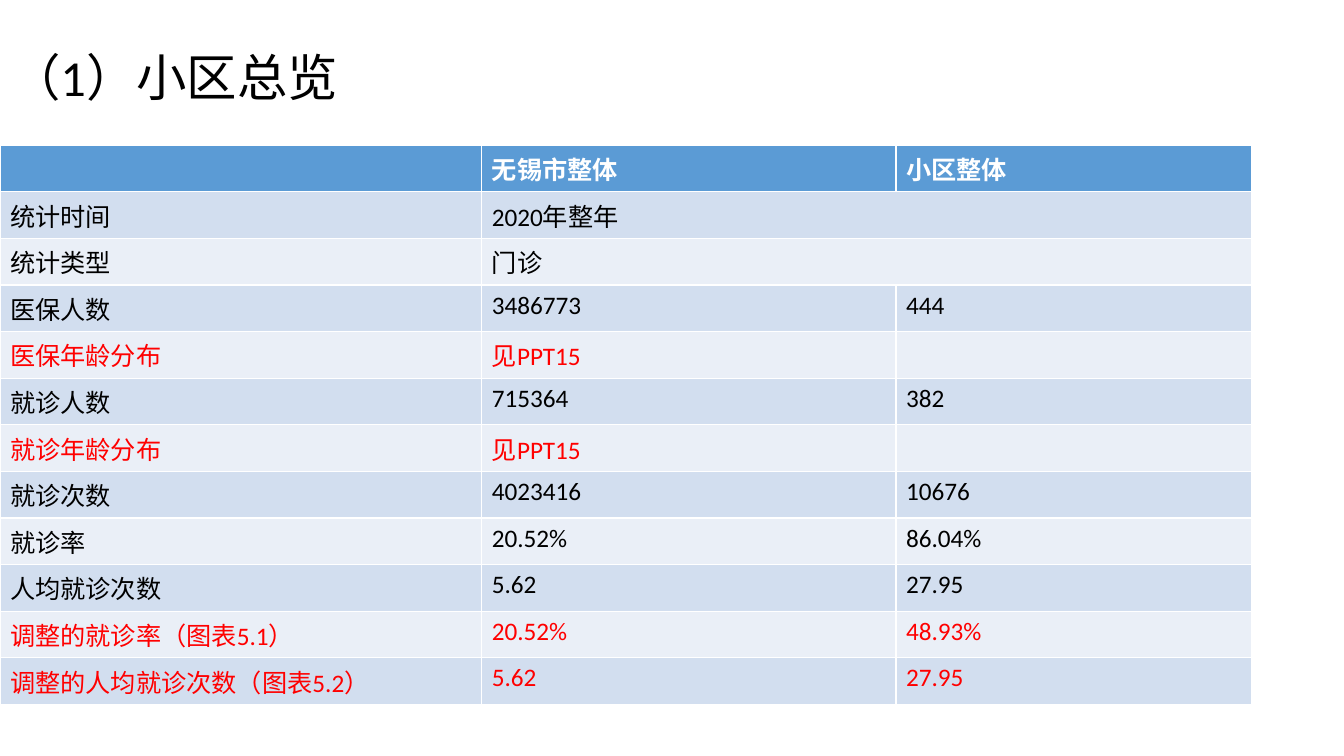
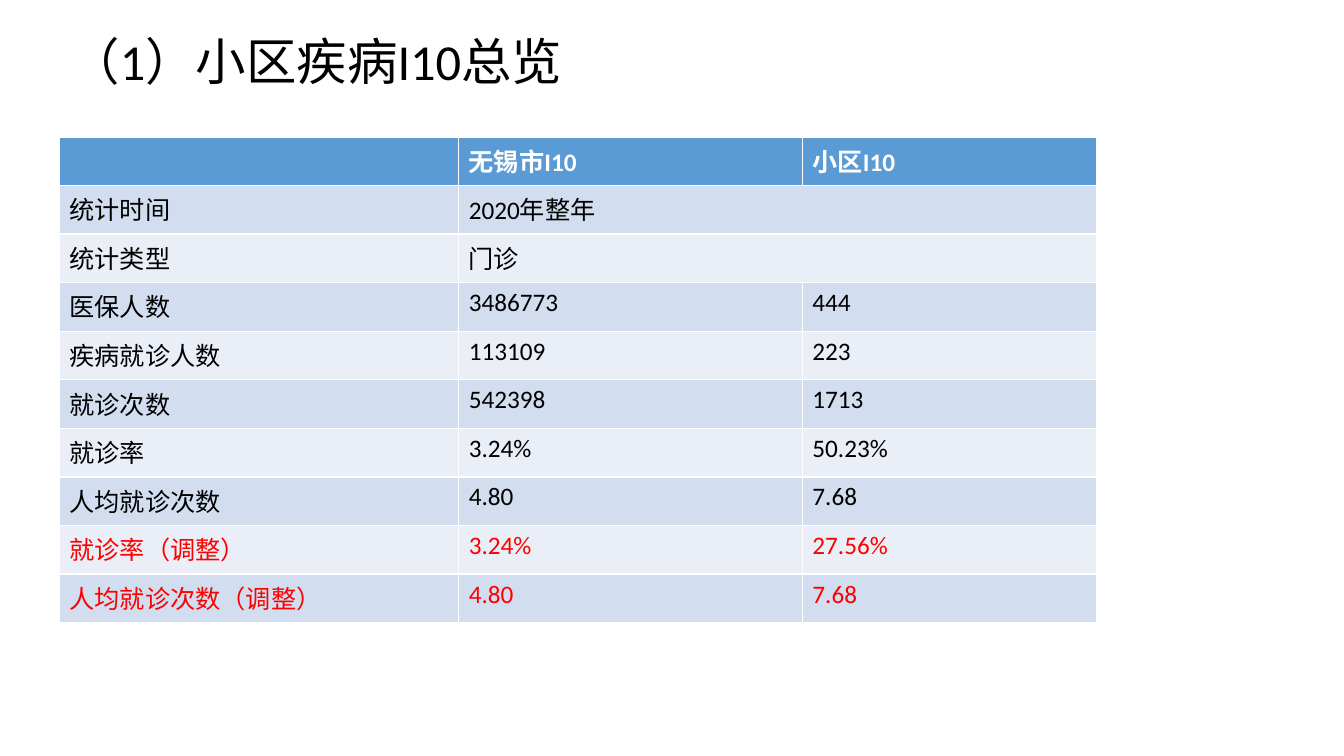
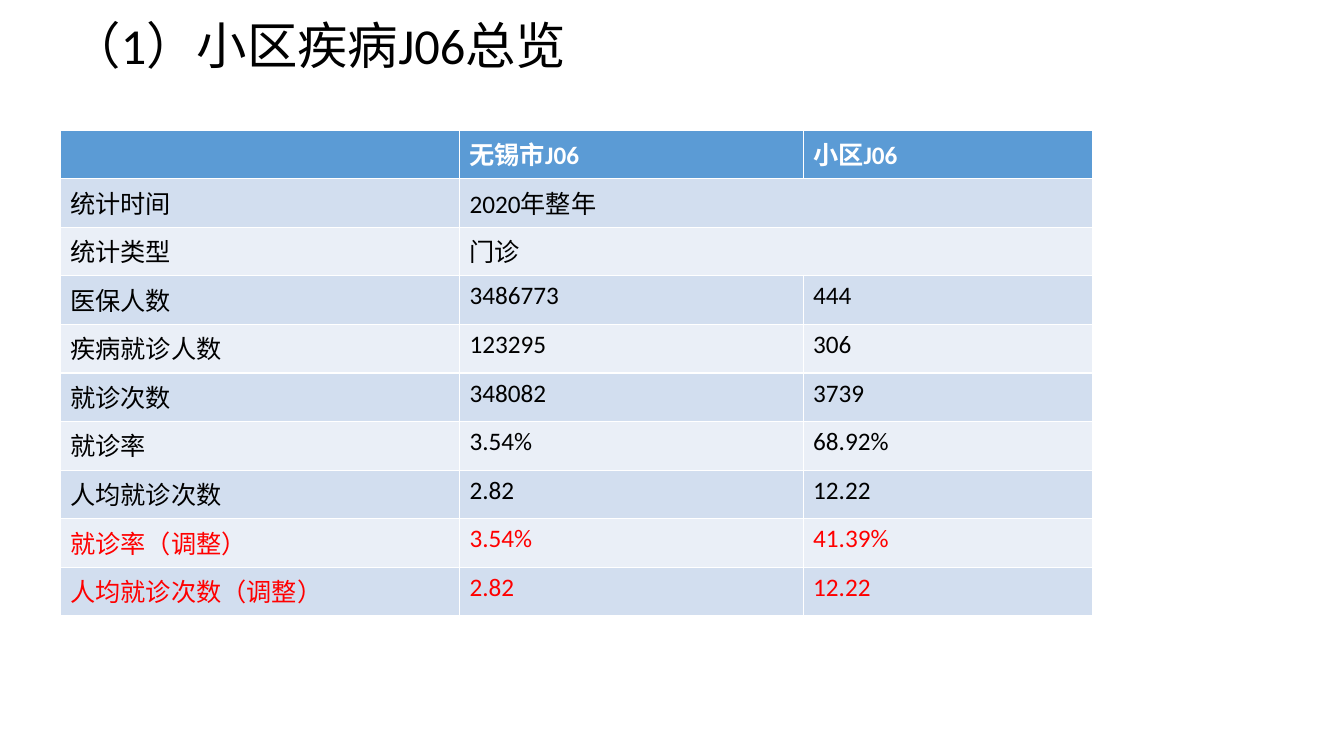
from pptx import Presentation
from pptx import util as u
from pptx.dml.color import RGBColor
from pptx.enum import text

FONT = "Calibri"
BLACK, WHITE, RED = "000000", "FFFFFF", "FF0000"
HEADER_FILL = "5B9BD5"
BAND_FILLS = ("EAEFF7", "D2DEEF")

PERIOD_ROWS = [("统计时间", "2020年整年"), ("统计类型", "门诊")]
DISEASE_LABELS = ["医保人数", "疾病就诊人数", "就诊次数", "就诊率",
                  "人均就诊次数", "就诊率（调整）", "人均就诊次数（调整）"]


def color(value):
    return RGBColor.from_string(value)


def write(frame, words, size=18, ink=BLACK, bold=False):
    """Fill the first paragraph of a text frame and return it."""
    para = frame.paragraphs[0]
    span = para.add_run()
    span.text = words
    font = span.font
    font.name, font.size, font.bold = FONT, u.Pt(size), bold
    font.color.rgb = color(ink)
    return para


class Report:
    def __init__(self):
        self.deck = Presentation()
        self.deck.slide_width = u.Cm(33.87)
        self.deck.slide_height = u.Cm(19.05)
        self.page = None

    def new_page(self):
        self.page = self.deck.slides.add_slide(self.deck.slide_layouts[5])

    def title(self, words, left, top, width):
        box = self.page.shapes.title
        box.left, box.top = u.Cm(left), u.Cm(top)
        box.width, box.height = u.Cm(width), u.Cm(2.44)
        box.text_frame.vertical_anchor = text.MSO_ANCHOR.MIDDLE
        para = write(box.text_frame, words, size=36)
        para.alignment = text.PP_ALIGN.LEFT
        para.line_spacing = 0.9

    def table(self, rows, left, top, widths, height, red_labels):
        """Draw a banded table; a row one value short merges its last two cells."""
        table = self.page.shapes.add_table(
            len(rows), len(widths), u.Cm(left), u.Cm(top),
            u.Cm(sum(widths)), u.Cm(height)).table
        for column, width in zip(table.columns, widths):
            column.width = u.Cm(width)
        for r, values in enumerate(rows):
            fill = BAND_FILLS[r % 2] if r else HEADER_FILL
            ink = RED if values[0] in red_labels else BLACK if r else WHITE
            for c in range(len(widths)):
                cell = table.cell(r, c)
                cell.fill.solid()
                cell.fill.fore_color.rgb = color(fill)
                if c < len(values) and values[c]:
                    write(cell.text_frame, values[c], ink=ink, bold=r == 0)
            if len(values) < len(widths):
                table.cell(r, len(values) - 1).merge(table.cell(r, len(widths) - 1))

    def disease_page(self, code, city, estate, left, title_top, table_top, last_width):
        self.new_page()
        self.title(f"（1）小区疾病{code}总览", left, title_top, 29.21)
        rows = [("", f"无锡市{code}", f"小区{code}"), *PERIOD_ROWS,
                *zip(DISEASE_LABELS, city, estate)]
        self.table(rows, left, table_top, (10.06, 8.66, last_width), 12.24,
                   red_labels=DISEASE_LABELS[-2:])


def main():
    report = Report()

    report.new_page()
    report.title("（1）小区总览", 0, 0.81, 29.95)
    overview = [
        ("", "无锡市整体", "小区整体"),
        *PERIOD_ROWS,
        ("医保人数", "3486773", "444"),
        ("医保年龄分布", "见PPT15", ""),
        ("就诊人数", "715364", "382"),
        ("就诊年龄分布", "见PPT15", ""),
        ("就诊次数", "4023416", "10676"),
        ("就诊率", "20.52%", "86.04%"),
        ("人均就诊次数", "5.62", "27.95"),
        ("调整的就诊率（图表5.1）", "20.52%", "48.93%"),
        ("调整的人均就诊次数（图表5.2）", "5.62", "27.95"),
    ]
    report.table(overview, 0, 3.66, (12.14, 10.44, 8.97), 14.07,
                 red_labels=[overview[r][0] for r in (4, 6, 10, 11)])

    report.disease_page(
        "I10",
        city=("3486773", "113109", "542398", "3.24%", "4.80", "3.24%", "4.80"),
        estate=("444", "223", "1713", "50.23%", "7.68", "27.56%", "7.68"),
        left=1.5, title_top=0.41, table_top=3.45, last_width=7.42)
    report.disease_page(
        "J06",
        city=("3486773", "123295", "348082", "3.54%", "2.82", "3.54%", "2.82"),
        estate=("444", "306", "3739", "68.92%", "12.22", "41.39%", "12.22"),
        left=1.52, title_top=0, table_top=3.28, last_width=7.29)

    report.deck.save("out.pptx")


if __name__ == "__main__":
    main()
